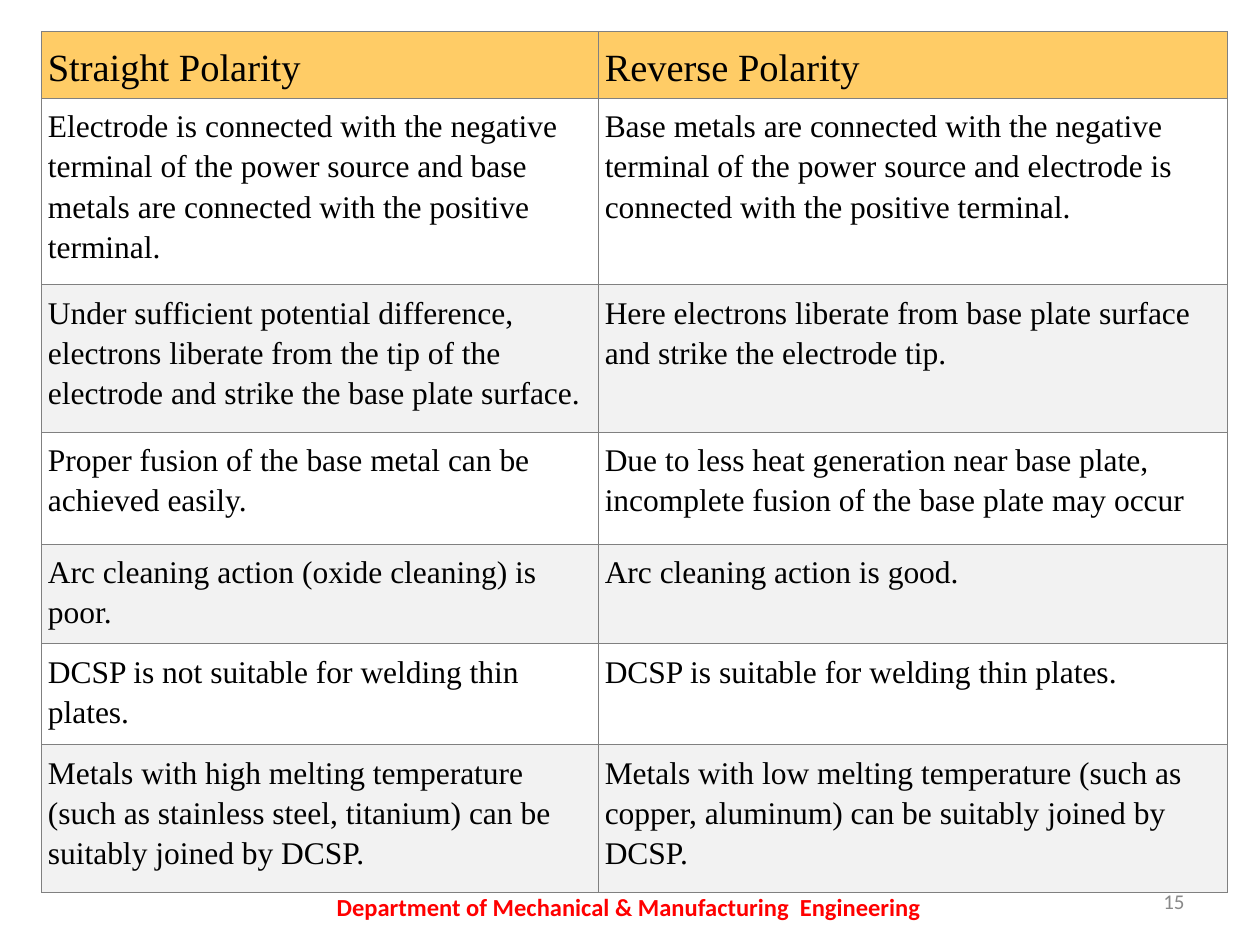
from dataclasses import dataclass

from lxml import etree
from pptx import Presentation
from pptx import util as u
from pptx.dml.color import RGBColor
from pptx.enum import text
from pptx.oxml import ns


@dataclass(frozen=True)
class Theme:
    """Colours, fonts and type sizes of the slide."""
    table_font: str = "Times New Roman"
    footer_font: str = "Calibri"
    ink: str = "000000"
    header_fill: str = "FFCC66"
    band_fills: tuple = ("F2F2F2", "FFFFFF")
    border: str = "808080"
    footer: str = "FF0000"
    number: str = "898989"
    header_size: int = 22
    body_size: int = 18
    footer_size: int = 14
    number_size: int = 12
    border_width: float = 0.45


THEME = Theme()
COLUMN_WIDTHS = (4.42, 4.99)
ROW_HEIGHTS = (0.53, 1.48, 1.17, 0.89, 0.79, 0.8, 1.17)
POLARITY_ROWS = (
    ("Straight Polarity", "Reverse Polarity"),
    ("Electrode is connected with the negative terminal of the power source "
     "and base metals are connected with the positive terminal.",
     "Base metals are connected with the negative terminal of the power source "
     "and electrode is connected with the positive terminal."),
    ("Under sufficient potential difference, electrons liberate from the tip "
     "of the electrode and strike the base plate surface.",
     "Here electrons liberate from base plate surface and strike the electrode tip."),
    ("Proper fusion of the base metal can be achieved easily.",
     "Due to less heat generation near base plate, incomplete fusion of the "
     "base plate may occur"),
    ("Arc cleaning action (oxide cleaning) is poor.",
     "Arc cleaning action is good."),
    ("DCSP is not suitable for welding thin plates.",
     "DCSP is suitable for welding thin plates."),
    ("Metals with high melting temperature (such as stainless steel, titanium) "
     "can be suitably joined by DCSP.",
     "Metals with low melting temperature (such as copper, aluminum) can be "
     "suitably joined by DCSP."),
)


def format_runs(paragraph, font_name, size, color, bold=False):
    """Give every run of a paragraph the same font."""
    for run in paragraph.runs:
        run.font.name = font_name
        run.font.size = u.Pt(size)
        run.font.bold = bold
        run.font.color.rgb = RGBColor.from_string(color)


def add_borders(cell):
    """Draw a thin line on all four sides of a cell."""
    properties = cell._tc.get_or_add_tcPr()
    for side in ("lnL", "lnR", "lnT", "lnB"):
        line = etree.SubElement(properties, ns.qn(f"a:{side}"),
                                w=str(u.Pt(THEME.border_width)))
        fill = etree.SubElement(line, ns.qn("a:solidFill"))
        etree.SubElement(fill, ns.qn("a:srgbClr"), val=THEME.border)


def fill_cell(cell, content, is_header, fill_color):
    """Write and format one table cell."""
    add_borders(cell)
    cell.fill.solid()
    cell.fill.fore_color.rgb = RGBColor.from_string(fill_color)
    cell.margin_left = cell.margin_right = u.Inches(0.05)
    cell.margin_top = cell.margin_bottom = u.Inches(0.05)
    cell.vertical_anchor = (text.MSO_ANCHOR.MIDDLE if is_header
                            else text.MSO_ANCHOR.TOP)
    cell.text_frame.text = content
    paragraph = cell.text_frame.paragraphs[0]
    paragraph.line_spacing = 1.15
    paragraph.space_after = u.Pt(10)
    size = THEME.header_size if is_header else THEME.body_size
    format_runs(paragraph, THEME.table_font, size, THEME.ink)


def add_polarity_table(slide):
    """Add the comparison of straight and reverse polarity."""
    table = slide.shapes.add_table(
        len(POLARITY_ROWS), len(COLUMN_WIDTHS), u.Inches(0.33), u.Inches(0.25),
        u.Inches(sum(COLUMN_WIDTHS)), u.Inches(sum(ROW_HEIGHTS))).table
    for column, width in zip(table.columns, COLUMN_WIDTHS):
        column.width = u.Inches(width)
    for index, (row, height) in enumerate(zip(table.rows, ROW_HEIGHTS)):
        row.height = u.Inches(height)
        is_header = index == 0
        fill_color = THEME.header_fill if is_header else THEME.band_fills[index % 2]
        for cell, content in zip(row.cells, POLARITY_ROWS[index]):
            fill_cell(cell, content, is_header, fill_color)


def add_footer_text(slide, content, box, alignment, size, color, bold=False):
    """Add one line of text at the foot of the slide."""
    shape = slide.shapes.add_textbox(*map(u.Inches, box))
    frame = shape.text_frame
    frame.word_wrap = True
    frame.vertical_anchor = text.MSO_ANCHOR.MIDDLE
    frame.text = content
    paragraph = frame.paragraphs[0]
    paragraph.alignment = alignment
    format_runs(paragraph, THEME.footer_font, size, color, bold)


def main():
    """Build the slide and save it."""
    presentation = Presentation()
    presentation.slide_width = u.Inches(10)
    presentation.slide_height = u.Inches(7.5)
    slide = presentation.slides.add_slide(presentation.slide_layouts[6])
    add_footer_text(slide, "Department of Mechanical & Manufacturing  Engineering",
                    (2.53, 7, 4.92, 0.4), text.PP_ALIGN.CENTER,
                    THEME.footer_size, THEME.footer, bold=True)
    add_footer_text(slide, "15", (7.17, 6.95, 2.33, 0.4), text.PP_ALIGN.RIGHT,
                    THEME.number_size, THEME.number)
    add_polarity_table(slide)
    presentation.save("out.pptx")


if __name__ == "__main__":
    main()
